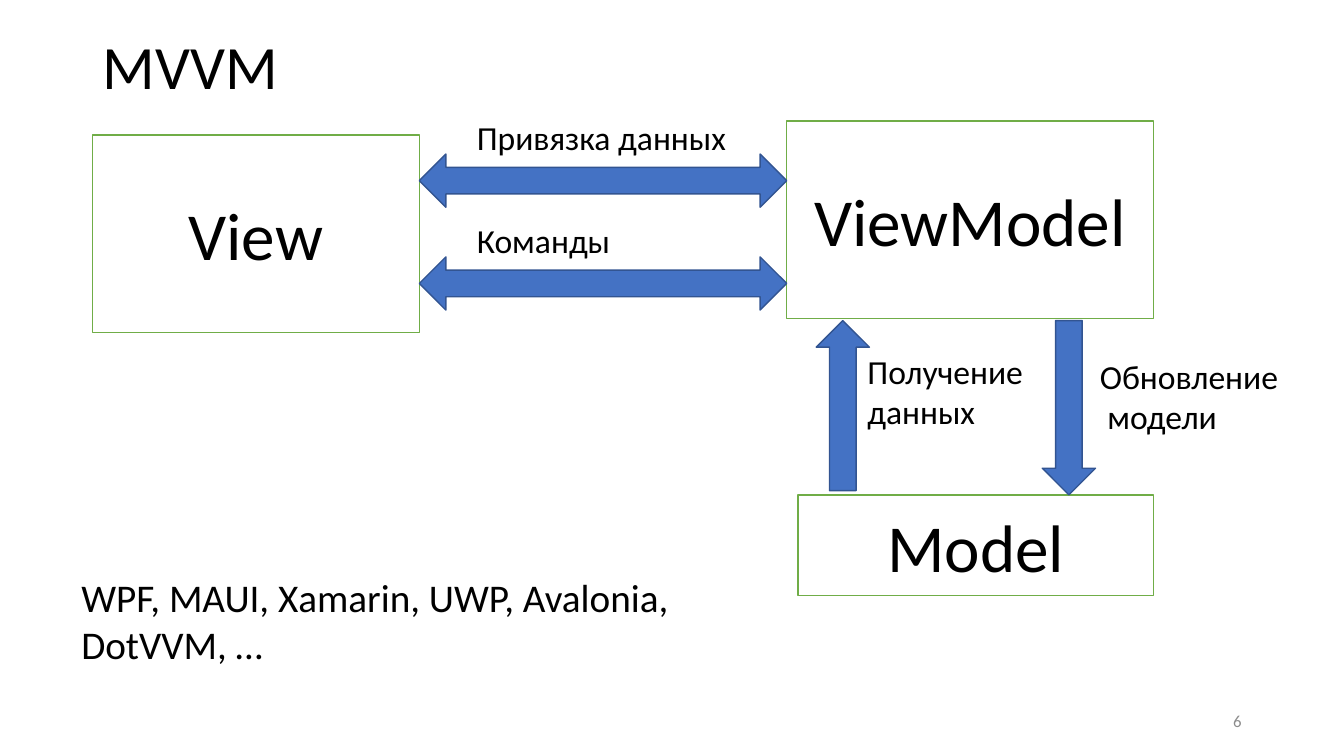
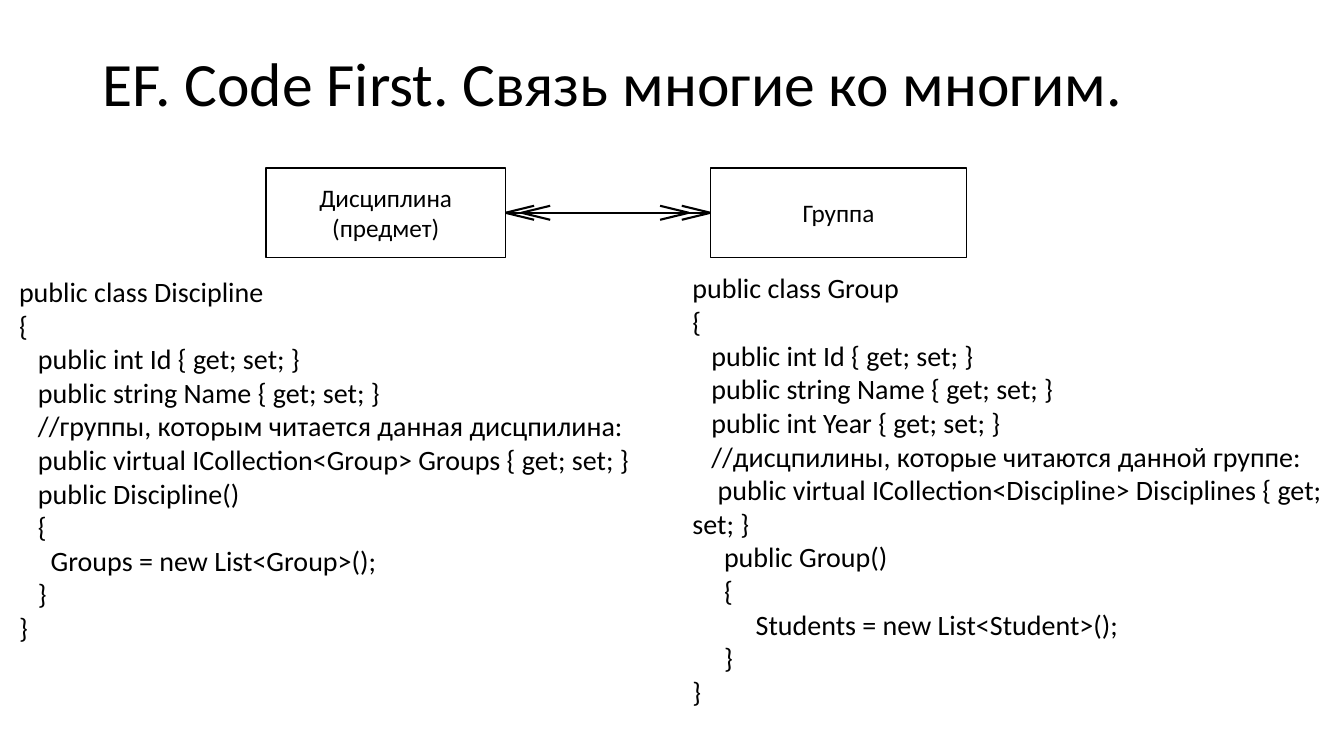
from dataclasses import dataclass

from pptx import Presentation
from pptx.dml.color import RGBColor
from pptx.enum.shapes import MSO_CONNECTOR as Link, MSO_SHAPE as Shape
from pptx.enum.text import MSO_ANCHOR as Anchor, MSO_AUTO_SIZE as Fit, PP_ALIGN as Align
from pptx.oxml.xmlchemy import OxmlElement
from pptx.util import Pt

LEFT, RIGHT = 1, 3


@dataclass(frozen=True)
class Theme:
    font: str = "Calibri"
    ink: str = "000000"
    paper: str = "FFFFFF"
    muted: str = "8C8C8C"
    green: str = "70AD47"
    blue: str = "4472C4"
    navy: str = "325491"
    title: int = 44
    component: int = 48
    note: int = 28
    label: int = 24
    code: int = 20
    entity: int = 18
    number: int = 12
    outline: float = 1
    stroke: float = 1.5


@dataclass(frozen=True)
class Box:
    left: float
    top: float
    width: float
    height: float

    @property
    def right(self):
        return self.left + self.width

    @property
    def bottom(self):
        return self.top + self.height

    @property
    def middle(self):
        return self.top + self.height / 2

    def points(self):
        return Pt(self.left), Pt(self.top), Pt(self.width), Pt(self.height)


THEME = Theme()

DISCIPLINE_CODE = """public class Discipline
{
   public int Id { get; set; }
   public string Name { get; set; }
   //группы, которым читается данная дисцпилина:
   public virtual ICollection<Group> Groups { get; set; }
   public Discipline()
   {
     Groups = new List<Group>();
   }
}"""

GROUP_CODE = """public class Group
{
   public int Id { get; set; }
   public string Name { get; set; }
   public int Year { get; set; }
   //дисцпилины, которые читаются данной группе:
    public virtual ICollection<Discipline> Disciplines { get; set; }
     public Group()
     {
          Students = new List<Student>();
     }
}"""


def color(value):
    return RGBColor.from_string(value)


def write(frame, text, size, ink=THEME.ink, align=Align.LEFT, spacing=None):
    for index, line in enumerate(text.split("\n")):
        para = frame.add_paragraph() if index else frame.paragraphs[0]
        para.text = line
        para.alignment = align
        para.line_spacing = spacing
        para.font.name = THEME.font
        para.font.size = Pt(size)
        para.font.color.rgb = color(ink)


def add_page(deck, title, top):
    page = deck.slides.add_slide(deck.slide_layouts[5])
    holder = page.shapes.title
    holder.left, holder.top, holder.width, holder.height = Box(66, top, 828, 104).points()
    frame = holder.text_frame
    frame.auto_size = Fit.NONE
    frame.vertical_anchor = Anchor.MIDDLE
    write(frame, title, THEME.title, spacing=0.9)
    return page


def add_text(page, box, text, size, wrap=True):
    frame = page.shapes.add_textbox(*box.points()).text_frame
    frame.word_wrap = wrap
    frame.auto_size = Fit.SHAPE_TO_FIT_TEXT
    write(frame, text, size)
    return frame


def add_number(page, box, text):
    frame = page.shapes.add_textbox(*box.points()).text_frame
    frame.word_wrap = True
    frame.vertical_anchor = Anchor.MIDDLE
    write(frame, text, THEME.number, THEME.muted, Align.RIGHT)


def add_shape(page, kind, box, fill, line):
    shape = page.shapes.add_shape(kind, *box.points())
    shape.shadow.inherit = False
    shape.fill.solid()
    shape.fill.fore_color.rgb = color(fill)
    shape.line.color.rgb = color(line)
    shape.line.width = Pt(THEME.outline)
    return shape


def add_block(page, box, text, size, line):
    block = add_shape(page, Shape.RECTANGLE, box, THEME.paper, line)
    block.text_frame.word_wrap = True
    block.text_frame.vertical_anchor = Anchor.MIDDLE
    write(block.text_frame, text, size, align=Align.CENTER)
    return block


def add_arrow(page, kind, box):
    return add_shape(page, kind, box, THEME.blue, THEME.navy)


def add_line(page, start, end):
    line = page.shapes.add_connector(Link.STRAIGHT, *map(Pt, start + end))
    line.line.color.rgb = color(THEME.ink)
    line.line.width = Pt(THEME.stroke)
    line._element.spPr.append(OxmlElement("a:effectLst"))
    return line


def add_mvvm_diagram(page, area):
    thick = 38
    view = Box(area.left, area.top + 10, 233.5, 141)
    view_model = Box(area.right - 262, area.top, 262, 141)
    model = Box(area.right - 254, area.bottom - 72, 254, 72)
    for box, name in ((view_model, "ViewModel"), (model, "Model"), (view, "View")):
        add_block(page, box, name, THEME.component, THEME.green)

    for row, (label, width) in enumerate((("Привязка данных", 194.5), ("Команды", 111))):
        top = area.top + 23.5 + 73.5 * row
        add_text(page, Box(view.right + 34, top - 30, width, 36), label, THEME.label, False)
        add_arrow(page, Shape.LEFT_RIGHT_ARROW,
                  Box(view.right, top, view_model.left - view.right, thick))

    top = view_model.bottom + 1.5
    length = model.top - top
    add_text(page, Box(view_model.left + 50.5, top + 18, 132.5, 65.5),
             "Получение\nданных", THEME.label, False)
    update = add_text(page, Box(area.right - 45.5, top + 21.5, 143, 65.5),
                      "Обновление\nмодели", THEME.label, False)
    update.paragraphs[1]._p.get_or_add_pPr().set("marL", str(Pt(5.4)))
    add_arrow(page, Shape.UP_ARROW, Box(view_model.left + 21, top, thick, length - 3))
    add_arrow(page, Shape.DOWN_ARROW, Box(area.right - 79.5, top, thick, length))


def add_crow_feet(page, block, side, tip, direction, gap):
    x, y = tip
    for offset in (0, gap):
        start = (x + direction * offset, y)
        for rise in (-5, 5):
            toe = add_line(page, start, (start[0] + direction * 20.5, y + rise))
            if not offset:
                toe.begin_connect(block, side)


def add_relation(page, area):
    left_box = Box(area.left, area.top, 171, area.height)
    right_box = Box(area.right - 183, area.top, 183, area.height)
    discipline = add_block(page, left_box, "Дисциплина (предмет)", THEME.entity, THEME.ink)
    group = add_block(page, right_box, "Группа", THEME.entity, THEME.ink)
    start, end = (left_box.right, area.middle), (right_box.left, area.middle)
    link = add_line(page, start, end)
    link.begin_connect(discipline, RIGHT)
    link.end_connect(group, LEFT)
    add_crow_feet(page, discipline, RIGHT, start, 1, 11.5)
    add_crow_feet(page, group, LEFT, end, -1, 15.5)


def build_mvvm(deck):
    page = add_page(deck, "MVVM", -2)
    add_number(page, Box(678, 500, 216, 29), "6")
    add_mvvm_diagram(page, Box(66, 86.5, 758, 339))
    add_text(page, Box(51, 406, 504, 75),
             "WPF, MAUI, Xamarin, UWP, Avalonia, DotVVM, …", THEME.note)


def build_many_to_many(deck):
    page = add_page(deck, "EF. Code First. Связь многие ко многим.", 10)
    add_relation(page, Box(190, 120, 500.5, 64))
    add_text(page, Box(6.5, 192.5, 480, 274), DISCIPLINE_CODE, THEME.code)
    add_text(page, Box(487.5, 190, 490.5, 322.5), GROUP_CODE, THEME.code)


def main():
    deck = Presentation()
    deck.slide_width, deck.slide_height = Pt(960), Pt(540)
    build_mvvm(deck)
    build_many_to_many(deck)
    deck.save("out.pptx")


if __name__ == "__main__":
    main()
